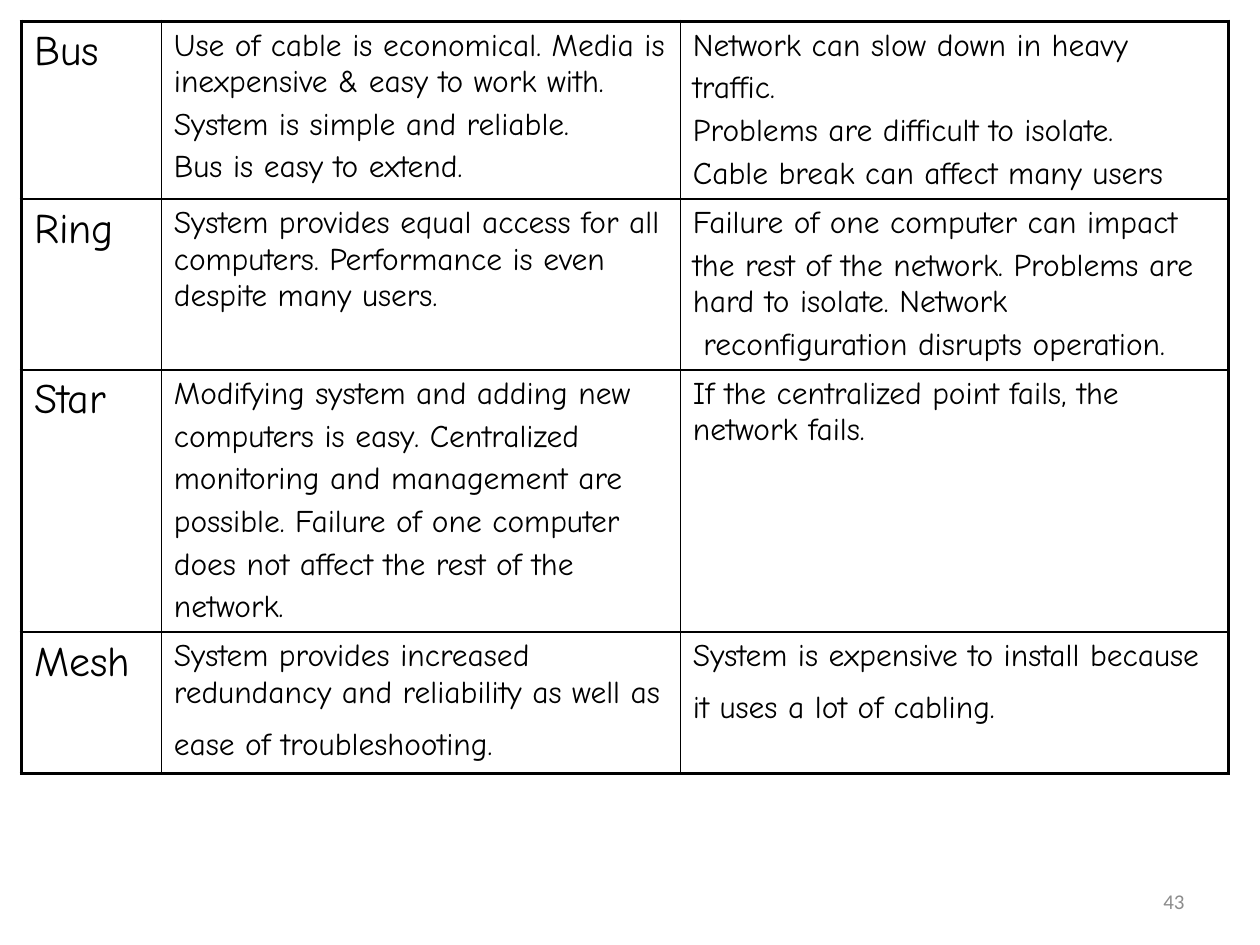
from dataclasses import dataclass

from lxml.etree import SubElement
from pptx import Presentation
from pptx.dml.color import RGBColor as RGB
from pptx.enum.text import MSO_ANCHOR as Anchor, PP_ALIGN as Align
from pptx.oxml.ns import qn
from pptx.util import Inches, Pt


@dataclass(frozen=True)
class Theme:
    ink: str = "000000"
    paper: str = "FFFFFF"
    gray: str = "8C8C8C"
    font: str = "Comic Neue"
    plain: str = "Calibri"
    head: int = 24
    body: int = 18
    tail: int = 28
    small: int = 12
    thick: float = 2.25
    thin: float = 1


THEME = Theme()

# Column widths and row heights, in inches
COLS = [1.11, 4.12, 4.35]
ROWS = [1.41, 1.35, 2.08, 1.12]

# Topology, benefits, drawbacks: one string per paragraph
DATA = [
    (["Bus"],
     ["Use of cable is economical. Media is inexpensive & easy to work with.",
      "System is simple and reliable.",
      "Bus is easy to extend."],
     ["Network can slow down in heavy",
      "traffic.",
      "Problems are difficult to isolate.",
      "Cable break can affect many users"]),
    (["Ring"],
     ["System provides equal access for all computers. "
      "Performance is even despite many users."],
     ["Failure of one computer can impact",
      "the rest of the network. Problems are hard to isolate. Network",
      " reconfiguration disrupts operation."]),
    (["Star"],
     ["Modifying system and adding new",
      "computers is easy. Centralized",
      "monitoring and management are",
      "possible. Failure of one computer",
      "does not affect the rest of the",
      "network."],
     ["If the centralized point fails, the network fails."]),
    (["Mesh"],
     ["System provides increased redundancy and reliability as well as "
      "ease of troubleshooting."],
     ["System is expensive to install because it uses a lot of cabling."]),
]


def write(frame, lines, size=THEME.body, font=THEME.font, color=THEME.ink,
          align=Align.LEFT, gap=0.2, tail=None):
    """Fill a text frame; tail is the size of a closing space."""
    frame.word_wrap = True
    for i, line in enumerate(lines):
        para = frame.paragraphs[0] if i == 0 else frame.add_paragraph()
        para.alignment = align
        para.space_before = Pt(size * gap)
        parts = [(line, size)] + ([(" ", tail)] if tail else [])
        for text, pts in parts:
            run = para.add_run()
            run.text = text
            run.font.size = Pt(pts)
            run.font.name = font
            run.font.color.rgb = RGB.from_string(color)


def border(cell, edges):
    """Draw the four sides; edges maps a side to True when it is outer."""
    props = cell._tc.get_or_add_tcPr()
    for side, outer in edges.items():
        width = Pt(THEME.thick if outer else THEME.thin)
        line = SubElement(props, qn(f"a:ln{side}"), w=str(width))
        fill = SubElement(line, qn("a:solidFill"))
        SubElement(fill, qn("a:srgbClr"), val=THEME.ink)


def add_grid(slide):
    table = slide.shapes.add_table(
        len(ROWS), len(COLS), Inches(0.17), Inches(0.17),
        Inches(sum(COLS)), Inches(sum(ROWS))).table
    table.first_row = table.horz_banding = False
    for col, width in zip(table.columns, COLS):
        col.width = Inches(width)
    for row, height in zip(table.rows, ROWS):
        row.height = Inches(height)

    end, edge = len(ROWS) - 1, len(COLS) - 1
    for r, items in enumerate(DATA):
        for c, lines in enumerate(items):
            cell = table.cell(r, c)
            border(cell, {"L": c == 0, "R": c == edge,
                          "T": r == 0, "B": r == end})
            cell.fill.solid()
            cell.fill.fore_color.rgb = RGB.from_string(THEME.paper)
            write(cell.text_frame, lines,
                  size=THEME.body if c else THEME.head,
                  tail=THEME.tail if c and r == end else None)


def add_number(slide, text):
    box = slide.shapes.add_textbox(
        Inches(7.17), Inches(6.95), Inches(2.33), Inches(0.4))
    box.text_frame.vertical_anchor = Anchor.MIDDLE
    write(box.text_frame, [text], size=THEME.small, font=THEME.plain,
          color=THEME.gray, align=Align.RIGHT, gap=0)


def main():
    deck = Presentation()
    deck.slide_width, deck.slide_height = Inches(10), Inches(7.5)
    slide = deck.slides.add_slide(deck.slide_layouts[6])
    add_grid(slide)
    add_number(slide, "43")
    deck.save("out.pptx")


if __name__ == "__main__":
    main()
